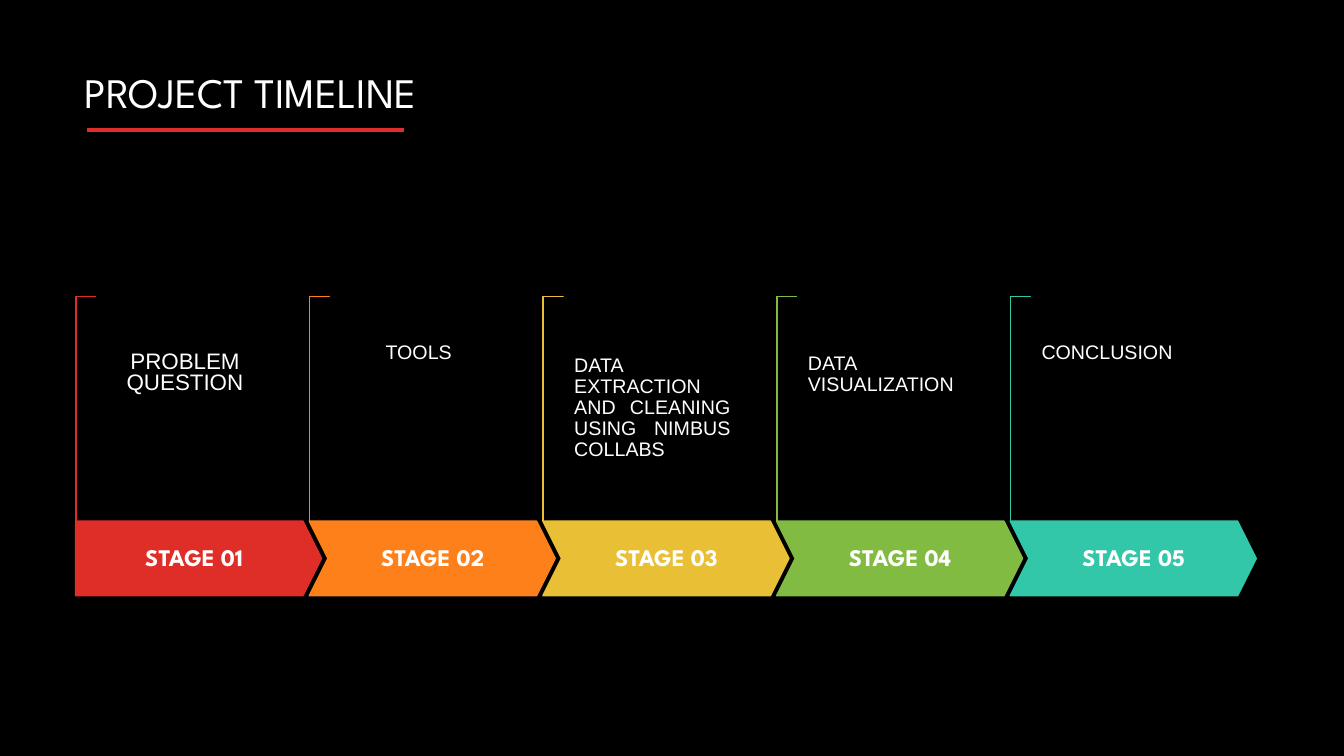
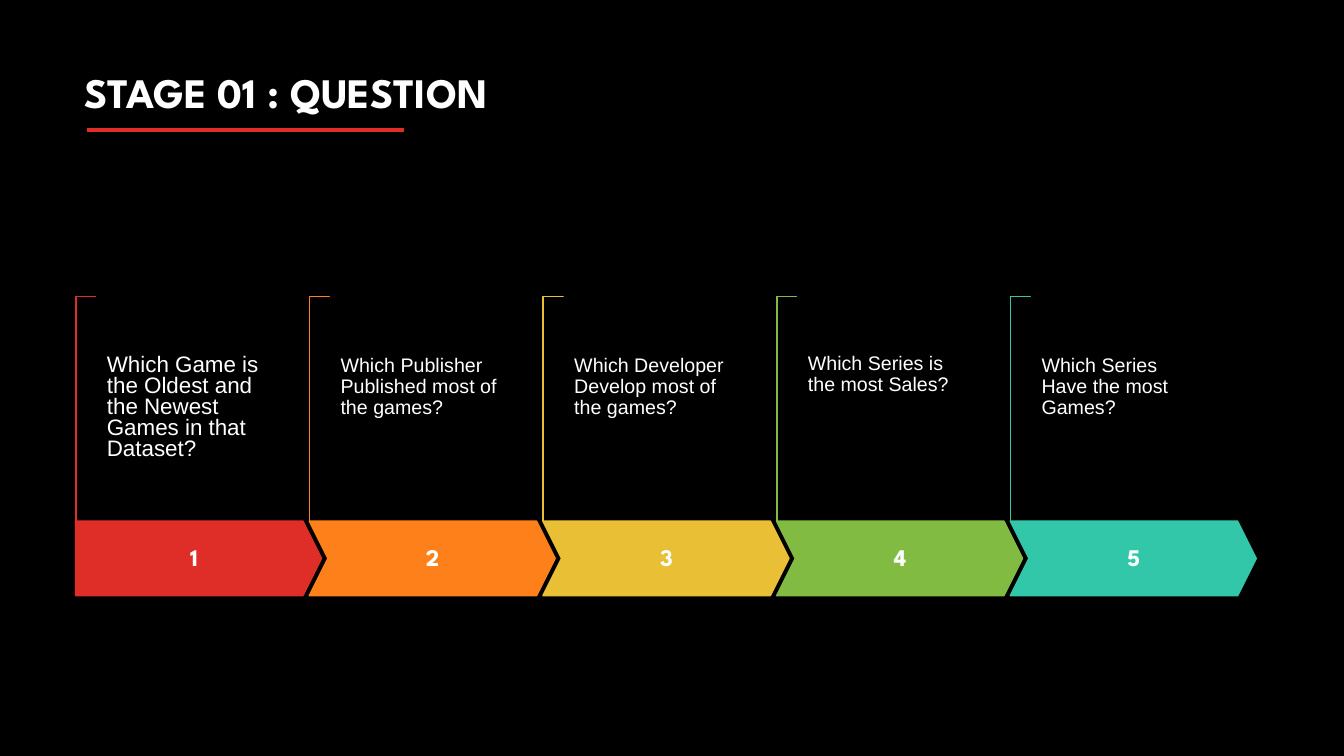
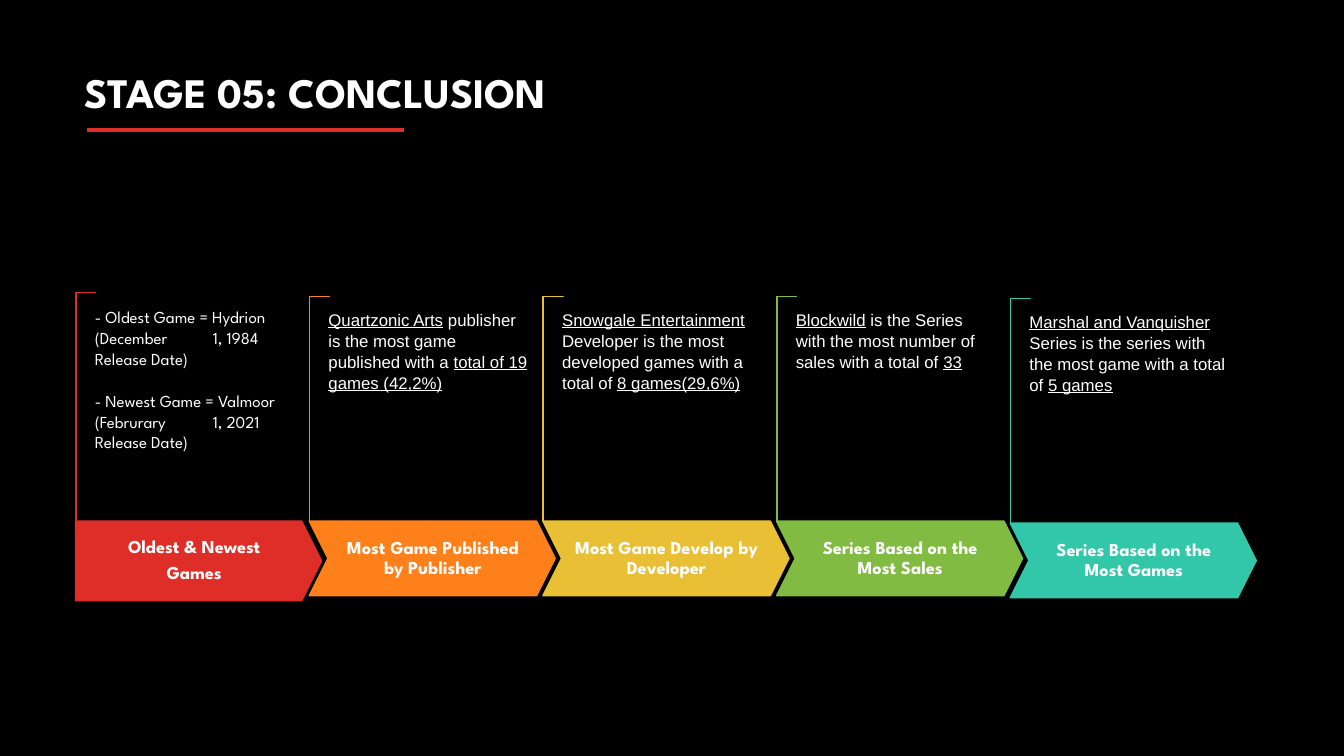
import pptx
import pptx.util
import pptx.dml.color
import pptx.enum.shapes
import pptx.enum.text
import pptx.oxml.ns
import lxml.etree

Inch, Pt = pptx.util.Inches, pptx.util.Pt
Kind = pptx.enum.shapes.MSO_SHAPE
Align = pptx.enum.text.PP_ALIGN
Anchor = pptx.enum.text.MSO_ANCHOR
qn = pptx.oxml.ns.qn

# Shared look
HUES = {"red": "DF2E28", "orange": "FE801A", "gold": "E9BF35",
        "green": "81BB42", "teal": "32C7A9"}
BASE = {"back": "000000", "text": "FFFFFF"}
HEAD, BODY = "League Spartan", "Arial"

# Grid in inches: five equal steps
WIDE, HIGH = 13.33, 7.5
LEFT, RIGHT = 0.75, 10.02
STEP = (RIGHT - LEFT) / 4
ARM, TOP, FOOT = 0.2, 2.94, 5.17
ARROW = (2.44, 0.74)
NOTE = (1.98, 1.55)

# Content: label, note, and what differs for that step
# In notes, _ switches underlining and a new line starts a paragraph
SLIDES = [
    {"title": "PROJECT TIMELINE", "bold": False,
     "label": (17, 0.12), "note": 14, "pad": (0.12, 0.47, 0.31, 0),
     "steps": [
         ("STAGE 01", "PROBLEM QUESTION", {"size": 16, "align": Align.CENTER}),
         ("STAGE 02", "TOOLS", {"align": Align.CENTER}),
         ("STAGE 03", "DATA EXTRACTION AND CLEANING USING NIMBUS COLLABS",
          {"align": Align.JUSTIFY}),
         ("STAGE 04", "DATA VISUALIZATION", {"align": Align.JUSTIFY}),
         ("STAGE 05", "CONCLUSION", {})]},
    {"title": "STAGE 01 : QUESTION", "bold": True,
     "label": (17, 0.12), "note": 14, "pad": (0.12, 0.47, 0.31, 0),
     "steps": [
         ("1", "Which Game is the Oldest and the Newest Games in that Dataset?",
          {"size": 16}),
         ("2", "Which Publisher Published most of the games?", {}),
         ("3", "Which Developer Develop most of the games?", {}),
         ("4", "Which Series is the most Sales?", {}),
         ("5", "Which Series Have the most Games?", {})]},
    {"title": "STAGE 05: CONCLUSION", "bold": True,
     "label": (13, 0.09), "note": 12, "pad": (0, 0, 0, 0),
     "steps": [
         ("Oldest & Newest\nGames",
          "- Oldest Game = Hydrion (December\t1, 1984 Release Date)\n"
          "- Newest Game = Valmoor (Februrary\t1, 2021 Release Date)",
          {"font": HEAD, "top": 2.9, "foot": 5.26, "high": 0.79, "rise": 0.03}),
         ("Most Game Published by Publisher",
          "_Quartzonic Arts_ publisher is the most game published with a "
          "_total of 19 games (42,2%)_", {}),
         ("Most Game Develop by Developer",
          "_Snowgale Entertainment _Developer is the most developed games "
          "with a total of _8 games(29,6%)_", {}),
         ("Series Based on the Most Sales",
          "_Blockwild_ is the Series with the most number of sales with a "
          "total of _33_", {}),
         ("Series Based on the Most Games",
          "_Marshal and Vanquisher _Series is the series with the most game "
          "with a total of _5 games_", {"drop": 0.02})]},
]


def rgb(code):
    return pptx.dml.color.RGBColor.from_string(code)


def write(slide, box, text, size, font, bold=False, align=Align.LEFT,
          pad=(0.1, 0.05, 0.1, 0.05), anchor=Anchor.MIDDLE,
          gap=0.9, before=0, after=0, tab=None):
    frame = slide.shapes.add_textbox(*map(Inch, box)).text_frame
    frame.word_wrap = True
    frame.vertical_anchor = anchor
    (frame.margin_left, frame.margin_top,
     frame.margin_right, frame.margin_bottom) = map(Inch, pad)
    for row, line in enumerate(text.split("\n")):
        para = frame.add_paragraph() if row else frame.paragraphs[0]
        para.alignment, para.line_spacing = align, gap
        para.space_before = Pt(before if row else 0)
        para.space_after = Pt(after)
        if tab and "\t" in line:
            stops = lxml.etree.SubElement(para._p.get_or_add_pPr(), qn("a:tabLst"))
            lxml.etree.SubElement(stops, qn("a:tab"), pos=str(Inch(tab)), algn="l")
        for turn, part in enumerate(line.split("_")):
            if part:
                run = para.add_run()
                run.text = part
                run.font.name, run.font.size = font, Pt(size)
                run.font.bold, run.font.underline = bold, turn % 2 == 1
                run.font.color.rgb = rgb(BASE["text"])


def draw(slide, kind, box, fill, line, cuts):
    shape = slide.shapes.add_shape(kind, *map(Inch, box))
    shape.shadow.inherit = False
    shape.fill.solid()
    shape.fill.fore_color.rgb = rgb(fill)
    shape.line.color.rgb = rgb(line)
    shape.line.width = Pt(1)
    for spot, cut in enumerate(cuts):
        shape.adjustments[spot] = cut
    return shape


def head(slide, title, bold):
    rule = slide.shapes.add_connector(
        pptx.enum.shapes.MSO_CONNECTOR.STRAIGHT,
        *map(Inch, (0.86, 1.29, 4.01, 1.29)))
    rule.line.color.rgb = rgb(HUES["red"])
    rule.line.width = Pt(3)
    lxml.etree.SubElement(rule._element.spPr, qn("a:effectLst"))
    write(slide, (0.74, 0.22, 11.71, 1.45), title, 30, HEAD, bold)


def step(slide, page, col, hue):
    label, note, odd = page["steps"][col]
    x, drop = LEFT + col * STEP, odd.get("drop", 0)
    top, foot = odd.get("top", TOP) + drop, odd.get("foot", FOOT) + drop
    y, (wide, high) = FOOT + drop, ARROW
    high = odd.get("high", high)

    # Bracket: an L turned a quarter about its centre
    span = foot - top
    turned = (x + (ARM - span) / 2, (top + foot - ARM) / 2, span, ARM)
    bend = Kind.from_xml("corner")
    draw(slide, bend, turned, BASE["text"], hue, (0.01, 0.01)).rotation = 90

    # Arrow and its label
    kind = Kind.CHEVRON if col else Kind.PENTAGON
    draw(slide, kind, (x, y, wide, high), hue, hue, (0.25,))
    size, pad = page["label"]
    inset, room = (0.19, 2.07) if col else (0, 2.35)
    write(slide, (x + inset, y, room, high), label, size, HEAD, True,
          Align.CENTER, (pad, 2 * pad, pad, 2 * pad), after=0.35 * size)

    # Note above the arrow
    place = (x + 0.19, 3.06 + drop - odd.get("rise", 0), *NOTE)
    write(slide, place, note, odd.get("size", page["note"]),
          odd.get("font", BODY), align=odd.get("align", Align.LEFT),
          pad=page["pad"], anchor=Anchor.TOP, gap=Pt(15), before=15, tab=1.17)


def main():
    deck = pptx.Presentation()
    deck.slide_width, deck.slide_height = Inch(WIDE), Inch(HIGH)
    back = deck.slide_master.background.fill
    back.solid()
    back.fore_color.rgb = rgb(BASE["back"])
    for page in SLIDES:
        slide = deck.slides.add_slide(deck.slide_layouts[6])
        head(slide, page["title"], page["bold"])
        for col, hue in enumerate(HUES.values()):
            step(slide, page, col, hue)
    deck.save("out.pptx")


if __name__ == "__main__":
    main()
